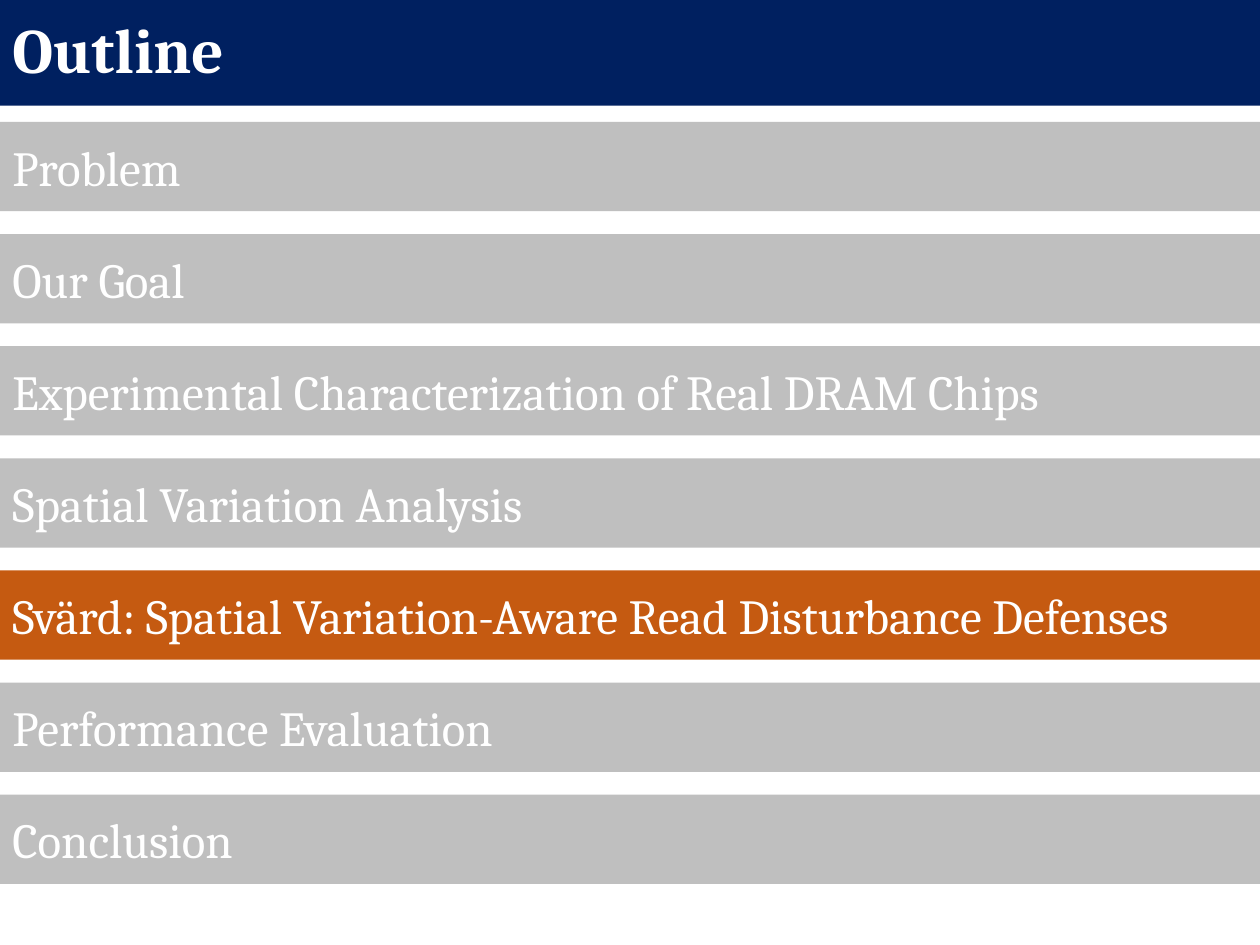
from pptx import Presentation
from pptx.dml.color import RGBColor
from pptx.enum.shapes import MSO_SHAPE
from pptx.enum.text import MSO_ANCHOR, PP_ALIGN
from pptx.util import Cm, Pt

NAVY = RGBColor(0x00, 0x20, 0x60)
GRAY = RGBColor(0xBF, 0xBF, 0xBF)
ORANGE = RGBColor(0xC5, 0x5A, 0x11)
WHITE = RGBColor(0xFF, 0xFF, 0xFF)

SECTIONS = [
    "Problem",
    "Our Goal",
    "Experimental Characterization of Real DRAM Chips",
    "Spatial Variation Analysis",
    "Svärd: Spatial Variation-Aware Read Disturbance Defenses",
    "Performance Evaluation",
    "Conclusion",
]
CURRENT_SECTION = 4
FIRST_TOP = 2.46
PITCH = 2.26

deck = Presentation()
deck.slide_width = Cm(25.4)
deck.slide_height = Cm(19.05)
page = deck.slides.add_slide(deck.slide_layouts[6])


def add_bar(text, top, height, color, size):
    bar = page.shapes.add_shape(
        MSO_SHAPE.RECTANGLE, Cm(0), Cm(top), deck.slide_width, Cm(height)
    )
    bar.shadow.inherit = False
    bar.fill.solid()
    bar.fill.fore_color.rgb = color
    bar.line.fill.background()
    frame = bar.text_frame
    frame.word_wrap = True
    frame.vertical_anchor = MSO_ANCHOR.MIDDLE
    para = frame.paragraphs[0]
    para.text = text
    para.alignment = PP_ALIGN.LEFT
    para.font.name = "Cambria"
    para.font.size = Pt(size)
    para.font.color.rgb = WHITE
    return para


title = add_bar("Outline", 0, 2.13, NAVY, 36)
title.font.bold = True
title.line_spacing = 0.9

for index, section in enumerate(SECTIONS):
    color = ORANGE if index == CURRENT_SECTION else GRAY
    add_bar(section, FIRST_TOP + index * PITCH, 1.8, color, 28)

deck.save("out.pptx")
